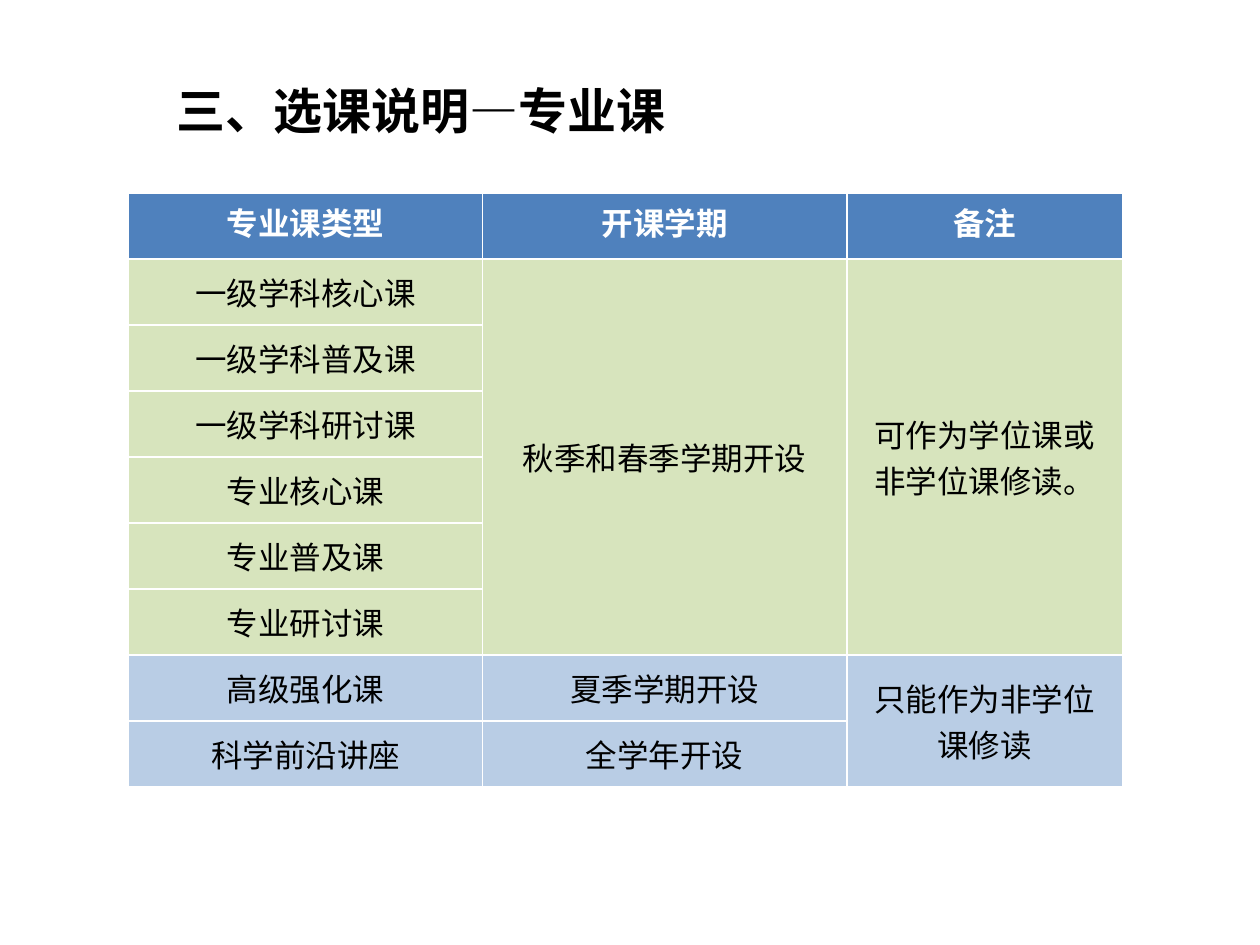
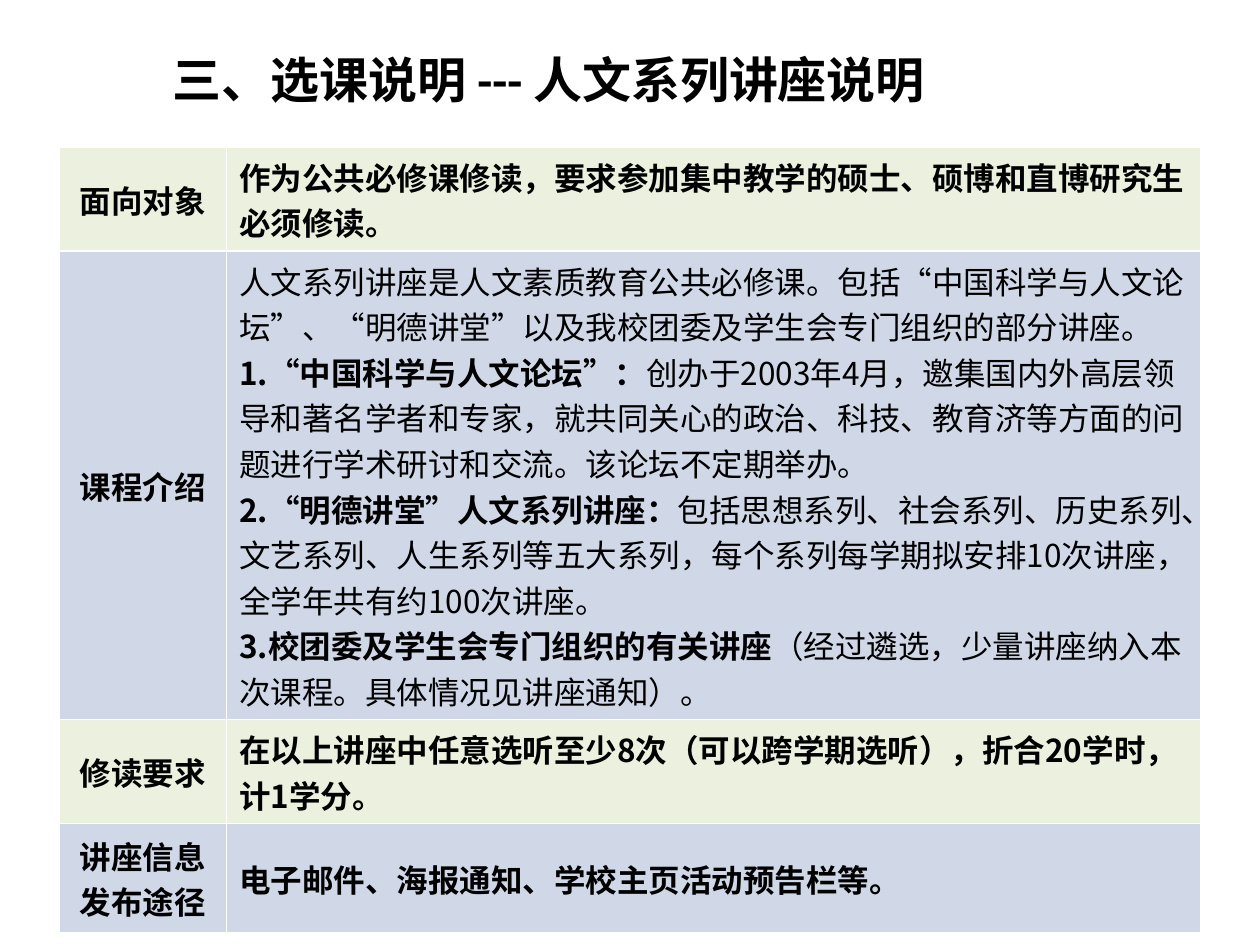
from dataclasses import dataclass

from pptx import Presentation
from pptx.dml.color import RGBColor
from pptx.enum.text import MSO_ANCHOR, PP_ALIGN
from pptx.oxml.ns import qn
from pptx.util import Cm, Pt

LEFT, CENTER = PP_ALIGN.LEFT, PP_ALIGN.CENTER
TOP, MIDDLE = MSO_ANCHOR.TOP, MSO_ANCHOR.MIDDLE
TITLE_ONLY = 5


@dataclass(frozen=True)
class Theme:
    title_font: str = "Calibri"
    body_font: str = "Noto Sans CJK SC"
    title_size: int = 28
    body_size: int = 18
    text: str = "000000"
    header_text: str = "FFFFFF"
    header: str = "4F81BD"
    green: str = "D7E4BD"
    blue: str = "B9CDE5"
    pale_green: str = "EBF1DE"
    pale_blue: str = "D0D8E8"


THEME = Theme()

# Course types sharing a remark; a single term covers the whole group.
COURSE_TITLE = "三、选课说明—专业课"
COURSE_HEADINGS = ["专业课类型", "开课学期", "备注"]
COURSE_GROUPS = [
    {
        "fill": THEME.green,
        "types": ["一级学科核心课", "一级学科普及课", "一级学科研讨课",
                  "专业核心课", "专业普及课", "专业研讨课"],
        "terms": ["秋季和春季学期开设"],
        "remark": "可作为学位课或非学位课修读。",
    },
    {
        "fill": THEME.blue,
        "types": ["高级强化课", "科学前沿讲座"],
        "terms": ["夏季学期开设", "全学年开设"],
        "remark": "只能作为非学位课修读",
    },
]
COURSE_COLUMNS = [7.14, 7.34, 5.56]
COURSE_ROW_HEIGHT = 1.33

# Each paragraph is a (bold part, regular part) pair.
LECTURE_TITLE = "三、选课说明 --- 人文系列讲座说明"
LECTURE_ROWS = [
    (1.73, ["面向对象"],
     [("作为公共必修课修读，要求参加集中教学的硕士、硕博和直博研究生必须修读。", "")]),
    (8.33, ["课程介绍"],
     [("", "人文系列讲座是人文素质教育公共必修课。包括“中国科学与人文论坛”、"
           "“明德讲堂”以及我校团委及学生会专门组织的部分讲座。"),
      ("1.“中国科学与人文论坛”：",
       "创办于2003年4月，邀集国内外高层领导和著名学者和专家，就共同关心的政治、科技、"
       "教育济等方面的问题进行学术研讨和交流。该论坛不定期举办。"),
      ("2.“明德讲堂”人文系列讲座：",
       "包括思想系列、社会系列、历史系列、文艺系列、人生系列等五大系列，"
       "每个系列每学期拟安排10次讲座，全学年共有约100次讲座。"),
      ("3.校团委及学生会专门组织的有关讲座",
       "（经过遴选，少量讲座纳入本次课程。具体情况见讲座通知）。")]),
    (1.78, ["修读要求"],
     [("在以上讲座中任意选听至少8次（可以跨学期选听），折合20学时，计1学分。", "")]),
    (2.21, ["讲座信息", "发布途径"],
     [("电子邮件、海报通知、学校主页活动预告栏等。", "")]),
]
LECTURE_COLUMNS = [3.38, 19.63]


def format_run(run, font_name, size, color, bold):
    font = run.font
    font.name = font_name
    font.size = Pt(size)
    font.bold = bold
    font.color.rgb = RGBColor.from_string(color)
    east_asian = run._r.get_or_add_rPr().makeelement(
        qn("a:ea"), {"typeface": THEME.body_font})
    font._element.find(qn("a:latin")).addnext(east_asian)


def add_titled_slide(presentation, text, left, top, width, height, inset=0.25):
    slide = presentation.slides.add_slide(presentation.slide_layouts[TITLE_ONLY])
    title = slide.shapes.title
    title.left, title.top = Cm(left), Cm(top)
    title.width, title.height = Cm(width), Cm(height)
    frame = title.text_frame
    frame.text = text
    frame.vertical_anchor = MIDDLE
    frame.margin_left = Cm(inset)
    paragraph = frame.paragraphs[0]
    paragraph.alignment = LEFT
    format_run(paragraph.runs[0], THEME.title_font, THEME.title_size,
               THEME.text, True)
    return slide


def add_sized_table(slide, left, top, widths, heights):
    table = slide.shapes.add_table(
        len(heights), len(widths), Cm(left), Cm(top),
        Cm(sum(widths)), Cm(sum(heights))).table
    table.horz_banding = False
    for column, width in zip(table.columns, widths):
        column.width = Cm(width)
    for row, height in zip(table.rows, heights):
        row.height = Cm(height)
    return table


def fill_cell(cell, paragraphs, fill, color=THEME.text, align=CENTER, anchor=MIDDLE):
    """Write (bold part, regular part) pairs, one paragraph each."""
    cell.fill.solid()
    cell.fill.fore_color.rgb = RGBColor.from_string(fill)
    cell.vertical_anchor = anchor
    frame = cell.text_frame
    for index, parts in enumerate(paragraphs):
        paragraph = frame.add_paragraph() if index else frame.paragraphs[0]
        paragraph.alignment = align
        for text, bold in zip(parts, (True, False)):
            if text:
                run = paragraph.add_run()
                run.text = text
                format_run(run, THEME.body_font, THEME.body_size, color, bold)


def fill_column_block(table, column, first_row, row_count, texts, fill):
    """Spread texts over a group's rows, merging when one text covers them all."""
    span = row_count // len(texts)
    for index, text in enumerate(texts):
        row = first_row + index * span
        cell = table.cell(row, column)
        if span > 1:
            cell.merge(table.cell(row + span - 1, column))
        fill_cell(cell, [("", text)], fill)


def build_course_slide(presentation):
    slide = add_titled_slide(presentation, COURSE_TITLE, 3.3, 0.69, 20.17, 3.05)
    row_count = 1 + sum(len(group["types"]) for group in COURSE_GROUPS)
    table = add_sized_table(slide, 2.59, 3.89, COURSE_COLUMNS,
                            [COURSE_ROW_HEIGHT] * row_count)
    for column, heading in enumerate(COURSE_HEADINGS):
        fill_cell(table.cell(0, column), [(heading, "")], THEME.header,
                  THEME.header_text, anchor=TOP)
    first_row = 1
    for group in COURSE_GROUPS:
        size = len(group["types"])
        columns = [group["types"], group["terms"], [group["remark"]]]
        for column, texts in enumerate(columns):
            fill_column_block(table, column, first_row, size, texts, group["fill"])
        first_row += size


def build_lecture_slide(presentation):
    slide = add_titled_slide(presentation, LECTURE_TITLE, 1.4, 0, 22.86, 3.18,
                             inset=2.08)
    table = add_sized_table(slide, 1.19, 2.97, LECTURE_COLUMNS,
                            [height for height, _, _ in LECTURE_ROWS])
    for row, (_, labels, paragraphs) in enumerate(LECTURE_ROWS):
        fill = THEME.pale_blue if row % 2 else THEME.pale_green
        fill_cell(table.cell(row, 0), [(label, "") for label in labels], fill)
        fill_cell(table.cell(row, 1), paragraphs, fill, align=LEFT,
                  anchor=MIDDLE if row else TOP)


def main():
    presentation = Presentation()
    presentation.slide_width, presentation.slide_height = Cm(25.4), Cm(19.05)
    build_course_slide(presentation)
    build_lecture_slide(presentation)
    presentation.save("out.pptx")


if __name__ == "__main__":
    main()
